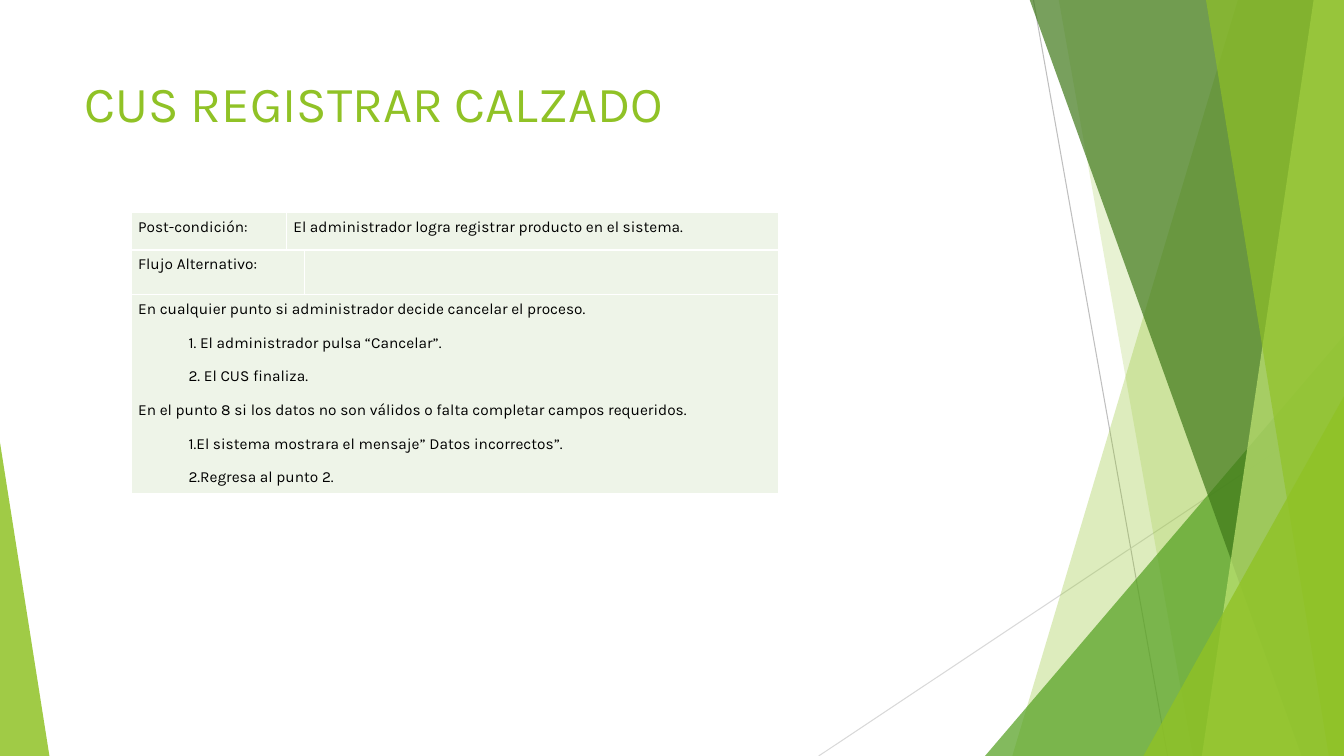
"""Build the slide with the alternative flow of the "registrar calzado" use case."""
from lxml import etree
from pptx import Presentation
from pptx.dml.color import RGBColor
from pptx.enum import shapes, text
from pptx.oxml import ns
from pptx.util import Inches, Pt

COLORS = {
    "lime": "90C226", "pale lime": "C0E474", "green": "54A021", "dark green": "3F7819",
    "gray": "BFBFBF", "light gray": "D9D9D9", "cell": "EEF4E8",
    "white": "FFFFFF", "black": "000000",
}
FONT = "Karla"


def paint(shape, color, opacity):
    """Fill a shape with a translucent colour, without outline or shadow."""
    shape.shadow.inherit = False
    shape.line.fill.background()
    shape.fill.solid()
    shape.fill.fore_color.rgb = RGBColor.from_string(COLORS[color])
    color_node = shape.fill._xPr.find(".//" + ns.qn("a:srgbClr"))
    etree.SubElement(color_node, ns.qn("a:alpha"), val=str(opacity * 1000))


def style_runs(paragraph, size, color):
    """Set font, size and colour on every run of a paragraph."""
    for run in paragraph.runs:
        run.font.name = FONT
        run.font.size = Pt(size)
        run.font.color.rgb = RGBColor.from_string(COLORS[color])


presentation = Presentation()
presentation.slide_width, presentation.slide_height = Inches(13.33), Inches(7.5)
slide = presentation.slides.add_slide(presentation.slide_layouts[5])

for x1, y1, x2, y2, color in [
    (10.25, 0, 11.58, 7.5, "gray"),
    (13.33, 4.03, 8.12, 7.5, "light gray"),
]:
    line = slide.shapes.add_connector(
        shapes.MSO_CONNECTOR.STRAIGHT, Inches(x1), Inches(y1), Inches(x2), Inches(y2))
    line.line.color.rgb = RGBColor.from_string(COLORS[color])
    line.line.width = Pt(0.75)
    etree.SubElement(line._element.spPr, ns.qn("a:effectLst"))

RIGHT, TOP, BOTTOM = 13.33, -0.01, 7.5
facets = [
    ("band", 12.28, 10.04, "lime", 30),
    ("band", 10.5, 11.83, "lime", 20),
    ("triangle", 9.77, 3.33, 3.56, 1, "green", 72),
    ("band", 10.21, 12.91, "dark green", 70),
    ("band", 13.03, 11.92, "pale lime", 70),
    ("band", 11.96, 13.18, "lime", 65),
    ("triangle", 11.34, 3.93, 1.99, 1, "lime", 80),
    ("triangle", 0, 4.39, 0.49, 0, "lime", 85),
]
for kind, *geometry, color, opacity in facets:
    if kind == "band":
        top_x, bottom_x = geometry
        builder = slide.shapes.build_freeform(Inches(top_x), Inches(TOP))
        builder.add_line_segments([
            (Inches(x), Inches(y))
            for x, y in [(RIGHT, TOP), (RIGHT, BOTTOM), (bottom_x, BOTTOM)]])
        facet = builder.convert_to_shape()
    else:
        left, top, width, apex = geometry
        facet = slide.shapes.add_shape(
            shapes.MSO_SHAPE.ISOSCELES_TRIANGLE,
            Inches(left), Inches(top), Inches(width), Inches(BOTTOM - top))
        facet.adjustments[0] = apex
    paint(facet, color, opacity)

title = slide.shapes.title
title.left, title.top = Inches(0.74), Inches(0.67)
title.width, title.height = Inches(9.4), Inches(1.44)
title.text_frame.text = "CUS REGISTRAR CALZADO"
title.text_frame.vertical_anchor = text.MSO_ANCHOR.TOP
title.text_frame.paragraphs[0].alignment = text.PP_ALIGN.LEFT
style_runs(title.text_frame.paragraphs[0], 36, "lime")

column_widths = [1.54, 0.17, 4.7]
row_heights = [0.37, 0.31, 1.97]
table = slide.shapes.add_table(
    3, 3, Inches(1.3), Inches(2.11),
    Inches(sum(column_widths)), Inches(sum(row_heights))).table
table.first_row = table.horz_banding = False
for column, width in zip(table.columns, column_widths):
    column.width = Inches(width)
for row, height in zip(table.rows, row_heights):
    row.height = Inches(height)

table.cell(0, 1).merge(table.cell(0, 2))
table.cell(1, 0).merge(table.cell(1, 1))
table.cell(2, 0).merge(table.cell(2, 2))
table.cell(0, 0).text_frame.text = "Post-condición:"
table.cell(0, 1).text_frame.text = "El administrador logra registrar producto en el sistema."
table.cell(1, 0).text_frame.text = "Flujo Alternativo:"
table.cell(2, 0).text_frame.text = "\n".join([
    "En cualquier punto si administrador decide cancelar el proceso.",
    "1. El administrador pulsa “Cancelar”.",
    "2. El CUS finaliza.",
    "En el punto 8 si los datos no son válidos o falta completar campos requeridos.",
    "1.El sistema mostrara el mensaje” Datos incorrectos”.",
    "2.Regresa al punto 2.",
])

for cell in table.iter_cells():
    cell.margin_left = cell.margin_right = Inches(0.07)
    cell.margin_top = cell.margin_bottom = Inches(0.07)
    cell.fill.solid()
    cell.fill.fore_color.rgb = RGBColor.from_string(COLORS["cell"])
    properties = cell._tc.get_or_add_tcPr()
    for index, side in enumerate(["lnL", "lnR", "lnT", "lnB"]):
        border = etree.Element(ns.qn("a:" + side), w=str(Pt(1)))
        fill = etree.SubElement(border, ns.qn("a:solidFill"))
        etree.SubElement(fill, ns.qn("a:srgbClr"), val=COLORS["white"])
        properties.insert(index, border)
    for paragraph in cell.text_frame.paragraphs:
        paragraph.alignment = text.PP_ALIGN.JUSTIFY
        paragraph.line_spacing = Pt(12)
        paragraph.space_before = paragraph.space_after = Pt(6)
        if paragraph.text[:1].isdigit():
            paragraph._p.get_or_add_pPr().set("marL", str(Inches(0.5)))
        style_runs(paragraph, 11, "black")

presentation.save("out.pptx")
